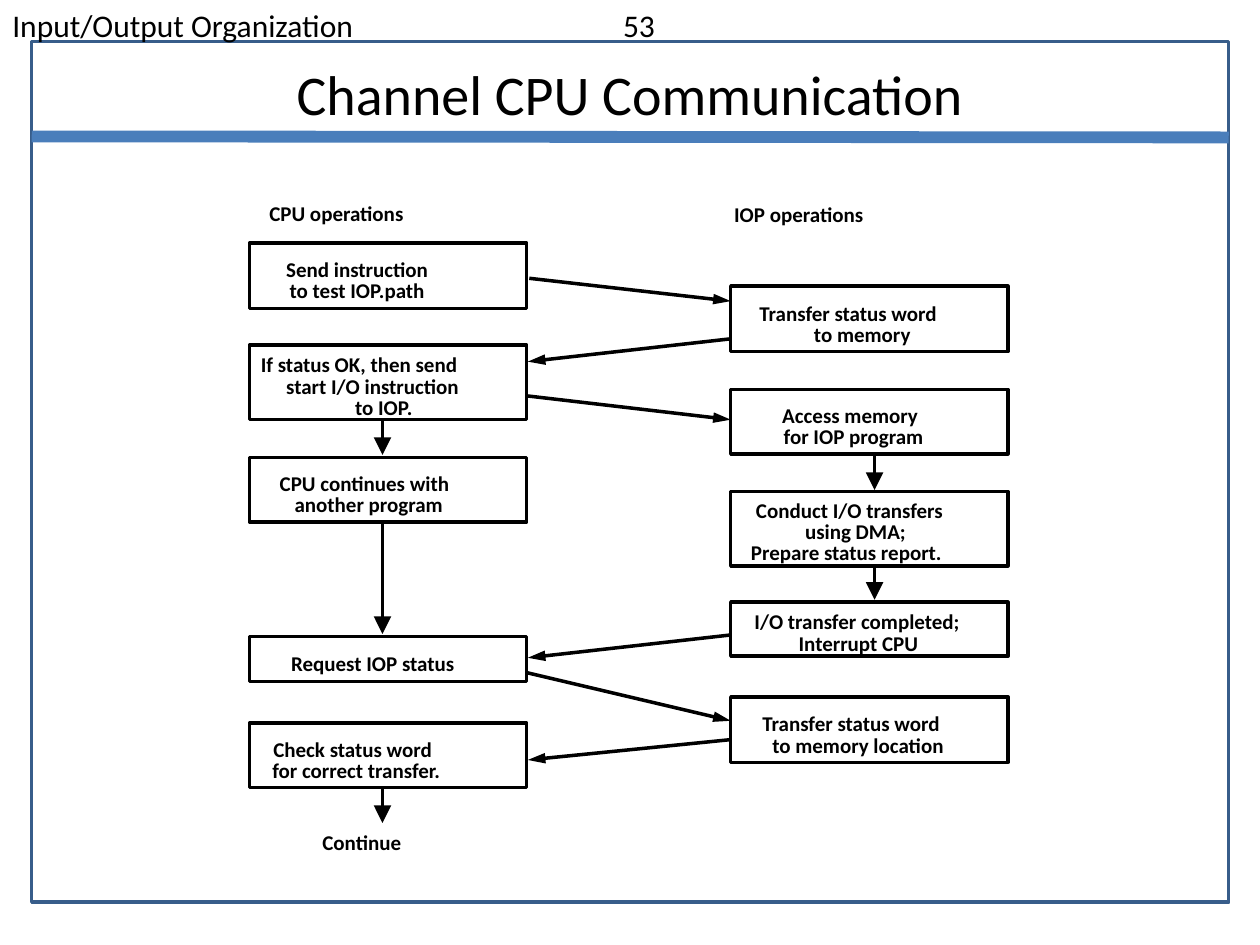
import pptx
import pptx.util
import pptx.dml.color
import pptx.enum.shapes
import pptx.enum.text
import pptx.oxml
from pptx.oxml.ns import qn
from pptx.util import Cm, Pt

COLORS = {"text": "000000", "frame": "385D8A", "rule": "4A7EBB"}
FONT = "Calibri"
BOX_WIDTH = 5.59
CPU_X, IOP_X = 0, 9.7
CPU_ARROW_X, IOP_ARROW_X = 2.68, 12.6

# Steps: top, height, text inset from the top, lines with their indents
CPU_STEPS = [
    (0.99, 1.32, 0.34, [("Send instruction", 0.74), ("to test IOP.path", 0.81)]),
    (3.05, 1.5, 0.21, [("If status OK, then send", 0.23),
                       ("start I/O instruction", 0.74), ("to IOP.", 2.13)]),
    (5.31, 1.3, 0.34, [("CPU continues with", 0.61), ("another program", 0.91)]),
    (8.92, 0.91, 0.36, [("Request IOP status", 0.84)]),
    (10.67, 1.3, 0.34, [("Check status word", 0.48), ("for correct transfer.", 0.46)]),
]
IOP_STEPS = [
    (1.86, 1.32, 0.36, [("Transfer status word", 0.58), ("to memory", 1.68)]),
    (3.94, 1.3, 0.34, [("Access memory", 1.04), ("for IOP program", 1.07)]),
    (6.0, 1.5, 0.19, [("Conduct I/O transfers", 0.51),
                      ("using DMA;", 1.5), ("Prepare status report.", 0.41)]),
    (8.23, 1.09, 0.21, [("I/O transfer completed;", 0.48), ("Interrupt CPU", 1.37)]),
    (10.14, 1.32, 0.36, [("Transfer status word", 0.64), ("to memory location", 0.84)]),
]
LABELS = [("CPU operations", 0.15, 0, 3.23), ("IOP operations", -0.18, 0.03, 3.12),
          ("Continue", 1.22, 12.68, 2.11)]

# Arrows: start x, start y, end x, end y
MESSAGES = [
    (5.64, 1.7, 9.7, 2.16), (9.7, 2.92, 5.61, 3.38), (5.59, 4.07, 9.7, 4.55),
    (9.7, 8.89, 5.61, 9.35), (5.59, 9.65, 9.7, 10.62), (9.7, 11.0, 5.61, 11.41),
]
DOWNWARD = [
    (CPU_ARROW_X, 4.55, 5.26), (CPU_ARROW_X, 6.61, 8.87), (CPU_ARROW_X, 11.99, 12.68),
    (IOP_ARROW_X, 5.24, 5.97), (IOP_ARROW_X, 7.49, 8.18),
]


def color(name):
    return pptx.dml.color.RGBColor.from_string(COLORS[name])


def write(para, text, size=12, bold=False, align="LEFT", indent=0, pitch=None):
    para.alignment = getattr(pptx.enum.text.PP_ALIGN, align)
    if indent:
        para._p.get_or_add_pPr().set("marL", str(Cm(indent)))
    if pitch:
        para.line_spacing = Pt(pitch)
    span = para.add_run()
    span.text = text
    span.font.name, span.font.size, span.font.bold = FONT, Pt(size), bold
    span.font.color.rgb = color("text")


def add_text_box(page, left, top, width, height):
    box = page.shapes.add_textbox(Cm(left), Cm(top), Cm(width), Cm(height))
    box.text_frame.word_wrap = True
    return box.text_frame


def add_outline(page, left, top, width, height, line):
    box = page.shapes.add_shape(pptx.enum.shapes.MSO_SHAPE.RECTANGLE,
                                Cm(left), Cm(top), Cm(width), Cm(height))
    box.shadow.inherit = False
    box.fill.background()
    box.line.color.rgb = color(line)
    box.line.width = Pt(2)
    return box


def add_line(page, x1, y1, x2, y2, name="text", width=2, head=None):
    line = page.shapes.add_connector(pptx.enum.shapes.MSO_CONNECTOR.STRAIGHT,
                                     Cm(x1), Cm(y1), Cm(x2), Cm(y2))
    line.line.color.rgb = color(name)
    line.line.width = Pt(width)
    if head:
        tail = pptx.oxml.xmlchemy.OxmlElement("a:tailEnd")
        for key, value in zip(("type", "w", "len"), ("triangle", head, "lg")):
            tail.set(key, value)
        line.line._get_or_add_ln().append(tail)
    line._element.spPr.append(pptx.oxml.xmlchemy.OxmlElement("a:effectLst"))


def add_header(page, left, top, width, height):
    para = add_text_box(page, left, top, width, height).paragraphs[0]
    # Tab stop for the page number
    tabs = pptx.oxml.xmlchemy.OxmlElement("a:tabLst")
    tab = pptx.oxml.xmlchemy.OxmlElement("a:tab")
    tab.set("pos", str(Cm(12.31)))
    tab.set("algn", "l")
    tabs.append(tab)
    para._p.get_or_add_pPr().append(tabs)
    write(para, "Input/Output Organization\t53", size=18)


def add_title(page, left, top, width, height):
    title = page.shapes.title
    title.left, title.top, title.width, title.height = map(Cm, (left, top, width, height))
    frame = title.text_frame
    frame.auto_size = pptx.enum.text.MSO_AUTO_SIZE.NONE
    frame.vertical_anchor = pptx.enum.text.MSO_ANCHOR.TOP
    write(frame.paragraphs[0], "Channel CPU Communication", size=32, align="CENTER")


def add_frame(page, left, top, width, height):
    add_outline(page, left, top, width, height, "frame")
    add_line(page, left, top + 1.91, left + width, top + 1.93, "rule", 6.75)


def add_step(page, left, top, height, inset, lines):
    frame = add_outline(page, left, top, BOX_WIDTH, height, "text").text_frame
    frame.word_wrap = True
    frame.vertical_anchor = pptx.enum.text.MSO_ANCHOR.TOP
    frame.margin_left = frame.margin_right = frame.margin_bottom = 0
    frame.margin_top = Cm(inset)
    for index, (text, indent) in enumerate(lines):
        para = frame.add_paragraph() if index else frame.paragraphs[0]
        write(para, text, bold=True, indent=indent, pitch=12.2)


def add_flow(page, left, top):
    # Columns of steps
    for x, steps in ((CPU_X, CPU_STEPS), (IOP_X, IOP_STEPS)):
        for y, height, inset, lines in steps:
            add_step(page, left + x, top + y, height, inset, lines)
    # Headings and closing word
    for (text, x, y, width), column in zip(LABELS, (CPU_X, IOP_X, CPU_X)):
        frame = add_text_box(page, left + column + x, top + y, width, 0.76)
        frame.word_wrap = False
        write(frame.paragraphs[0], text, bold=True)
    # Messages between the columns, then the steps down each column
    for x1, y1, x2, y2 in MESSAGES:
        add_line(page, left + x1, top + y1, left + x2, top + y2, head="med")
    for x, y1, y2 in DOWNWARD:
        add_line(page, left + x, top + y1, left + x, top + y2, head="lg")


def main():
    deck = pptx.Presentation()
    deck.slide_width, deck.slide_height = Cm(25.4), Cm(19.05)
    page = deck.slides.add_slide(deck.slide_layouts[5])
    add_frame(page, 0.64, 0.84, 24.13, 17.35)
    add_header(page, 0, 0, 25.4, 1.04)
    add_title(page, 2, 1.07, 21.4, 1.63)
    add_flow(page, 5.03, 3.91)
    deck.save("out.pptx")


if __name__ == "__main__":
    main()
